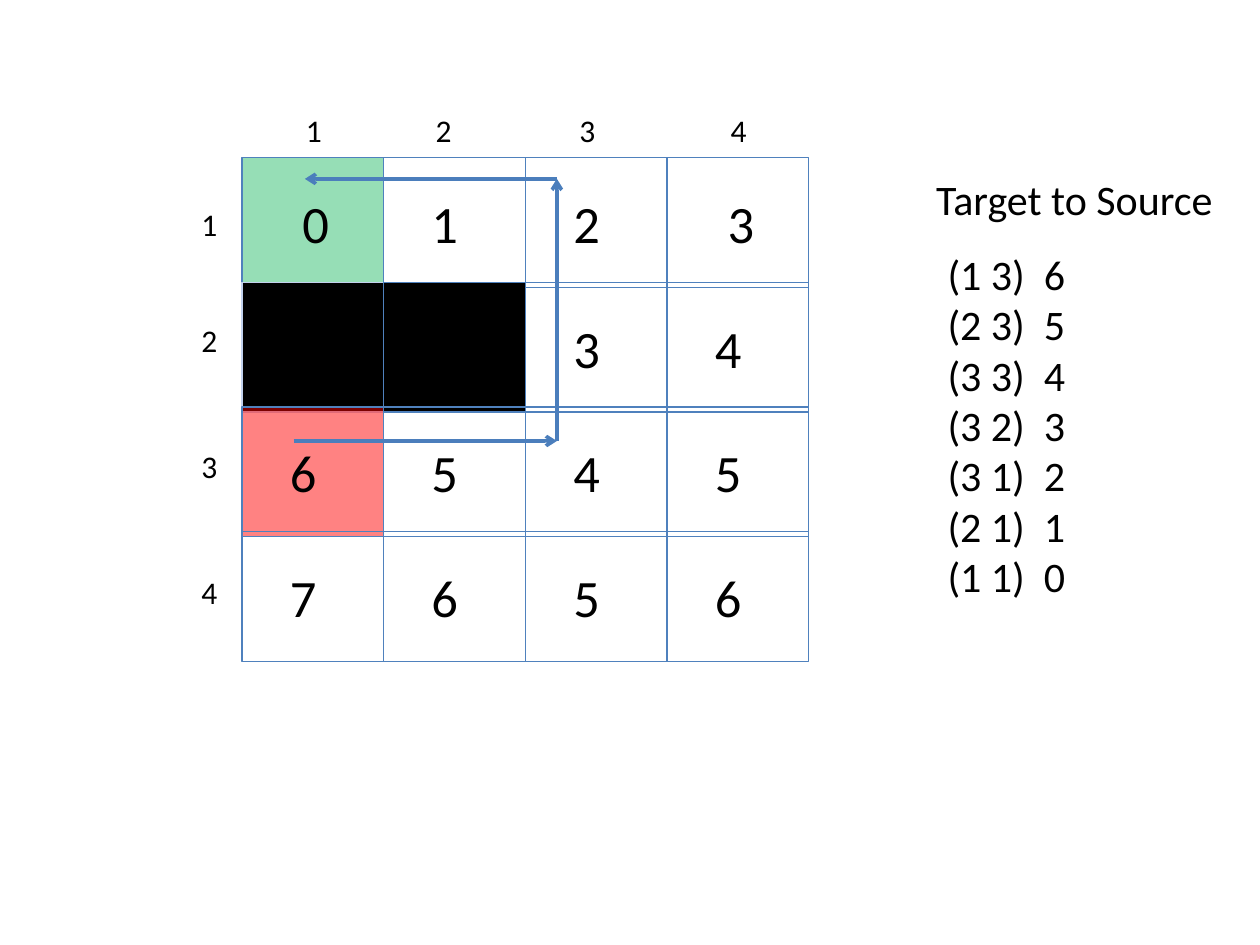
"""Build a slide of a grid maze with its path from target to source."""
import dataclasses

import lxml.etree
import pptx
import pptx.dml.color
import pptx.enum.shapes
import pptx.enum.text
import pptx.oxml.ns
import pptx.util

Inches = pptx.util.Inches
Pt = pptx.util.Pt
RGB = pptx.dml.color.RGBColor.from_string
qn = pptx.oxml.ns.qn
Anchor = pptx.enum.text.MSO_ANCHOR
Align = pptx.enum.text.PP_ALIGN


@dataclasses.dataclass(frozen=True)
class Theme:
    """Hold the colours, font and type sizes."""
    font: str = "Calibri"
    ink: str = "000000"
    edge: str = "4F81BD"
    pale: str = "C2D1ED"
    arrow: str = "4B7EBC"
    start: str = "00B050"
    goal: str = "FF0000"
    wall: str = "000000"
    cell: int = 30
    label: int = 18
    body: int = 24


@dataclasses.dataclass(frozen=True)
class Box:
    """Give a region in inches."""
    left: float
    top: float
    width: float
    height: float

    def inner(self, x, y, width, height):
        """Return a box placed relative to this one."""
        return Box(self.left + x, self.top + y, width, height)

    def size(self):
        """Return the four lengths."""
        return [Inches(n) for n in dataclasses.astuple(self)]


THEME = Theme()
COSTS = [[0, 1, 2, 3], [None, None, 3, 4], [6, 5, 4, 5], [7, 6, 5, 6]]
FILLS = {(0, 0): (THEME.start, 41), (1, 0): (THEME.wall, 100),
         (1, 1): (THEME.wall, 100), (2, 0): (THEME.goal, 49)}
EDGES = {(1, 0): THEME.pale}
WIDE = {(0, 0), (0, 3)}
COLS = [0.41, 1.44, 2.58, 3.78]
ROWS = [0.33, 1.25, 2.25, 3.25]
ROUTE = [(0.41, 2.25), (2.5, 2.25), (2.5, 0.17), (0.5, 0.17)]
STEPS = ["(1 3)  6", "(2 3)  5", "(3 3)  4", "(3 2)  3",
         "(3 1)  2", "(2 1)  1", "(1 1)  0"]


def style(para, size):
    """Set the type of one paragraph."""
    para.alignment = Align.LEFT
    para.font.name = THEME.font
    para.font.size = Pt(size)
    para.font.color.rgb = RGB(THEME.ink)


def add_cell(slide, box, cost, fill, edge, inset):
    """Draw one cell with its cost."""
    cell = slide.shapes.add_shape(
        pptx.enum.shapes.MSO_SHAPE.RECTANGLE, *box.size())
    cell.shadow.inherit = False
    cell.line.color.rgb = RGB(edge)
    cell.line.width = Pt(0.75)
    if fill:
        color, alpha = fill
        cell.fill.solid()
        cell.fill.fore_color.rgb = RGB(color)
        node = cell._element.spPr.find(qn("a:solidFill"))[0]
        lxml.etree.SubElement(node, qn("a:alpha"), val=str(alpha * 1000))
    else:
        cell.fill.background()
    if cost is not None:
        frame = cell.text_frame
        frame.margin_left = Inches(inset)
        frame.vertical_anchor = Anchor.MIDDLE
        frame.text = str(cost)
        style(frame.paragraphs[0], THEME.cell)


def add_grid(slide, box):
    """Draw the cells, row by row, with a slight overlap."""
    wide, step, high = box.width / 4, 0.99, 1.03
    for row, costs in enumerate(COSTS):
        for col, cost in enumerate(costs):
            key = row, col
            add_cell(slide, box.inner(col * wide, row * step, wide, high),
                     cost, FILLS.get(key), EDGES.get(key, THEME.edge),
                     0.48 if key in WIDE else 0.38)


def add_labels(slide, box):
    """Number the columns and rows outside the grid."""
    spots = [(n, x, -0.42) for n, x in enumerate(COLS, 1)]
    spots += [(n, -0.42, y) for n, y in enumerate(ROWS, 1)]
    for num, x, y in spots:
        label = slide.shapes.add_textbox(*box.inner(x, y, 0.33, 0.4).size())
        label.text_frame.word_wrap = True
        label.text_frame.text = str(num)
        style(label.text_frame.paragraphs[0], THEME.label)


def add_route(slide, box):
    """Draw the arrows of the route."""
    spots = [(Inches(box.left + x), Inches(box.top + y)) for x, y in ROUTE]
    for start, end in zip(spots, spots[1:]):
        arrow = slide.shapes.add_connector(
            pptx.enum.shapes.MSO_CONNECTOR.STRAIGHT, *start, *end)
        arrow.line.color.rgb = RGB(THEME.arrow)
        arrow.line.width = Pt(2)
        props = arrow._element.spPr
        lxml.etree.SubElement(
            props.find(qn("a:ln")), qn("a:tailEnd"), type="arrow")
        lxml.etree.SubElement(props, qn("a:effectLst"))


def fill_text(holder, box, lines):
    """Place a placeholder and set its lines without bullets."""
    holder.left, holder.top, holder.width, holder.height = box.size()
    frame = holder.text_frame
    frame.auto_size = pptx.enum.text.MSO_AUTO_SIZE.NONE
    frame.vertical_anchor = Anchor.TOP
    frame.word_wrap = True
    frame.text = "\n".join(lines)
    for para in frame.paragraphs:
        style(para, THEME.body)
        para.space_before = Pt(0)
        props = para._p.get_or_add_pPr()
        props.set("marL", "0")
        props.set("indent", "0")
        lxml.etree.SubElement(props, qn("a:buNone"))
        props.append(props.find(qn("a:defRPr")))


def add_list(slide, box):
    """Place the heading and the steps of the path."""
    fill_text(slide.shapes.title, box.inner(0, 0, 2.5, 0.5),
              ["Target to Source"])
    fill_text(slide.placeholders[1], box.inner(0.09, 0.59, 1.75, 2.93), STEPS)


def main():
    """Build and save the slide."""
    deck = pptx.Presentation()
    deck.slide_width, deck.slide_height = Inches(10), Inches(7.5)
    slide = deck.slides.add_slide(deck.slide_layouts[1])
    maze = Box(1.92, 1.25, 4.5, 4)
    add_grid(slide, maze)
    add_labels(slide, maze)
    add_route(slide, maze)
    add_list(slide, Box(7.33, 1.33, 2.5, 3.52))
    deck.save("out.pptx")


if __name__ == "__main__":
    main()
